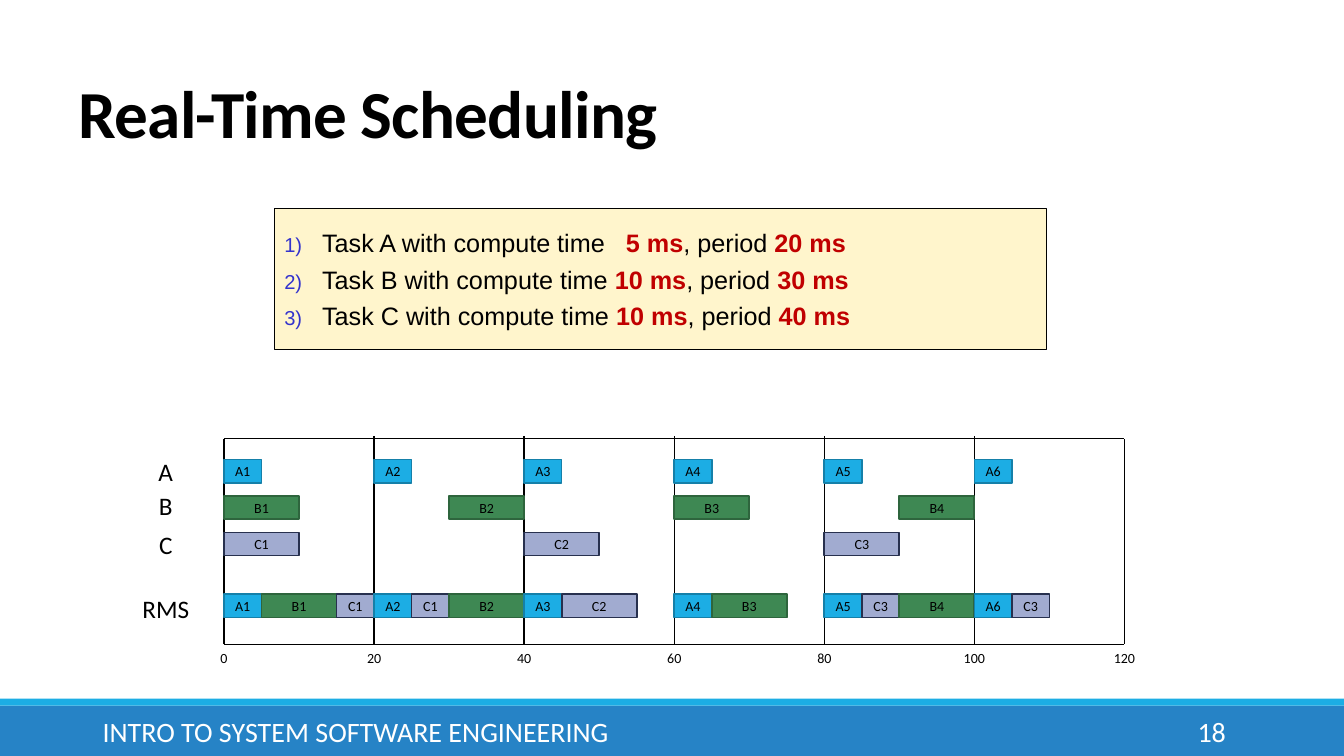
from lxml import etree
from pptx import Presentation
from pptx.dml.color import RGBColor
from pptx.enum import shapes, text
from pptx.oxml import ns
from pptx.util import Pt

COLORS = {
    "ink": "000000", "white": "FFFFFF", "band": "2683C6", "stripe": "1CADE4",
    "note": "FFF5CC", "number": "3333CC", "value": "C00000",
}
TASK_COLORS = {
    "A": ("1CADE4", "1580A9"),
    "B": ("3E8853", "2E653D"),
    "C": ("A1ABD0", "27304E"),
}
TITLE = "Real-Time Scheduling"
FOOTER = "INTRO TO SYSTEM SOFTWARE ENGINEERING"
PAGE = "18"
TASKS = [("A", 5, 20, 10), ("B", 10, 30, 0), ("C", 10, 40, 0)]
ROWS = [
    ("A", 328.3, 322.6, [("A1", 0, 5), ("A2", 20, 5), ("A3", 40, 5),
                         ("A4", 60, 5), ("A5", 80, 5), ("A6", 100, 5)]),
    ("B", 354.3, 347, [("B1", 0, 10), ("B2", 30, 10), ("B3", 60, 10), ("B4", 90, 10)]),
    ("C", 380.3, 374.4, [("C1", 0, 10), ("C2", 40, 10), ("C3", 80, 10)]),
    ("RMS", 424.5, 420.5, [
        ("A1", 0, 5), ("B1", 5, 10), ("C1", 15, 5), ("A2", 20, 5), ("C1", 25, 5),
        ("B2", 30, 10), ("A3", 40, 5), ("C2", 45, 10), ("A4", 60, 5), ("B3", 65, 10),
        ("A5", 80, 5), ("C3", 85, 5), ("B4", 90, 10), ("A6", 100, 5), ("C3", 105, 5)]),
]
END, STEP = 120, 20
LEFT, TOP, BOTTOM = 160, 313.3, 460.2
PER_MS = 5.36
OVERHANG = 2.2
BAR_HEIGHT = 16.6
LABEL_CENTER = 118.4

prs = Presentation()
prs.slide_width, prs.slide_height = Pt(960), Pt(540)
slide = prs.slides.add_slide(prs.slide_layouts[6])


def rgb(name):
    return RGBColor.from_string(COLORS.get(name, name))


def add_run(p, words, size=18, font="Calibri", color="ink", bold=False, spacing=0):
    r = p.add_run()
    r.text = words
    r.font.size, r.font.name, r.font.bold = Pt(size), font, bold
    r.font.color.rgb = rgb(color)
    if spacing:
        r._r.get_or_add_rPr().set("spc", str(round(spacing * 100)))


def add_text(words, box, align="LEFT", anchor="TOP", wrap=False, line_spacing=None, **fmt):
    sp = slide.shapes.add_textbox(*map(Pt, box))
    tf = sp.text_frame
    tf.word_wrap = wrap
    tf.vertical_anchor = text.MSO_ANCHOR[anchor]
    p = tf.paragraphs[0]
    p.alignment = text.PP_ALIGN[align]
    if line_spacing:
        p.line_spacing = line_spacing
    add_run(p, words, **fmt)


def add_rect(box, fill, line=None, width=1.25):
    sp = slide.shapes.add_shape(shapes.MSO_SHAPE.RECTANGLE, *map(Pt, box))
    sp.shadow.inherit = False
    sp.fill.solid()
    sp.fill.fore_color.rgb = rgb(fill)
    if line:
        sp.line.color.rgb = rgb(line)
        sp.line.width = Pt(width)
    else:
        sp.line.fill.background()
    sp.text_frame.vertical_anchor = text.MSO_ANCHOR.MIDDLE
    return sp


def add_line(x1, y1, x2, y2):
    cx = slide.shapes.add_connector(shapes.MSO_CONNECTOR.STRAIGHT, *map(Pt, (x1, y1, x2, y2)))
    cx.line.color.rgb = rgb("ink")
    cx.line.width = Pt(1)
    etree.SubElement(cx._element.spPr, ns.qn("a:effectLst"))


def number_paragraph(p):
    pPr = p._p.get_or_add_pPr()
    pPr.set("marL", str(Pt(27)))
    pPr.set("indent", str(-Pt(27)))
    clr = etree.SubElement(pPr, ns.qn("a:buClr"))
    etree.SubElement(clr, ns.qn("a:srgbClr"), val=COLORS["number"])
    etree.SubElement(pPr, ns.qn("a:buSzPct"), val="80000")
    etree.SubElement(pPr, ns.qn("a:buFont"), typeface="Arial")
    etree.SubElement(pPr, ns.qn("a:buAutoNum"), type="arabicParenR")


def time_x(ms):
    return LEFT + ms * PER_MS


def add_bar(name, start, length, top):
    fill, line = TASK_COLORS[name[0]]
    sp = add_rect((time_x(start), top, length * PER_MS, BAR_HEIGHT), fill, line)
    tf = sp.text_frame
    tf.margin_left = tf.margin_right = 0
    tf.paragraphs[0].alignment = text.PP_ALIGN.CENTER
    add_run(tf.paragraphs[0], name, size=10)


add_rect((0, 504, 960, 36), "band")
add_rect((0, 499, 960, 5), "stripe")
add_text(TITLE, (49, 51, 792, 61.2), anchor="BOTTOM", wrap=True, line_spacing=0.85,
         size=48, bold=True, spacing=-0.5)
add_text(FOOTER, (66.2, 508.3, 604, 28.8), anchor="MIDDLE", wrap=True, size=20, color="white")
add_text(PAGE, (779.8, 508.3, 103, 28.8), align="RIGHT", anchor="MIDDLE", wrap=True,
         size=20, color="white")

tf = add_rect((196, 149, 551.5, 100.8), "note", "ink", 0.75).text_frame
tf.word_wrap = False
for i, (task, compute, period, gap) in enumerate(TASKS):
    p = tf.add_paragraph() if i else tf.paragraphs[0]
    number_paragraph(p)
    p.alignment = text.PP_ALIGN.LEFT
    if i:
        p.space_before = Pt(4.3)
    add_run(p, f"Task {task} with compute time", font="Arial")
    add_run(p, " ", font="Arial", spacing=gap)
    add_run(p, f"{compute} ms", font="Arial", color="value", bold=True)
    add_run(p, ", period ", font="Arial")
    add_run(p, f"{period} ms", font="Arial", color="value", bold=True)

for y in (TOP, BOTTOM):
    add_line(LEFT, y, time_x(END), y)
for ms in range(0, END + 1, STEP):
    x = time_x(ms)
    add_line(x, BOTTOM, x, TOP - (OVERHANG if 0 < ms < END else 0))
    width = 14.4 + 5.2 * len(str(ms))
    add_text(str(ms), (x - width / 2, BOTTOM, width, 19.4), align="CENTER", size=10)

for label, bar_top, label_top, bars in ROWS:
    for name, start, length in bars:
        add_bar(name, start, length, bar_top)
    width = 48 if len(label) > 1 else 25
    add_text(label, (LABEL_CENTER - width / 2, label_top, width, 28.8), align="CENTER")

prs.save("out.pptx")
